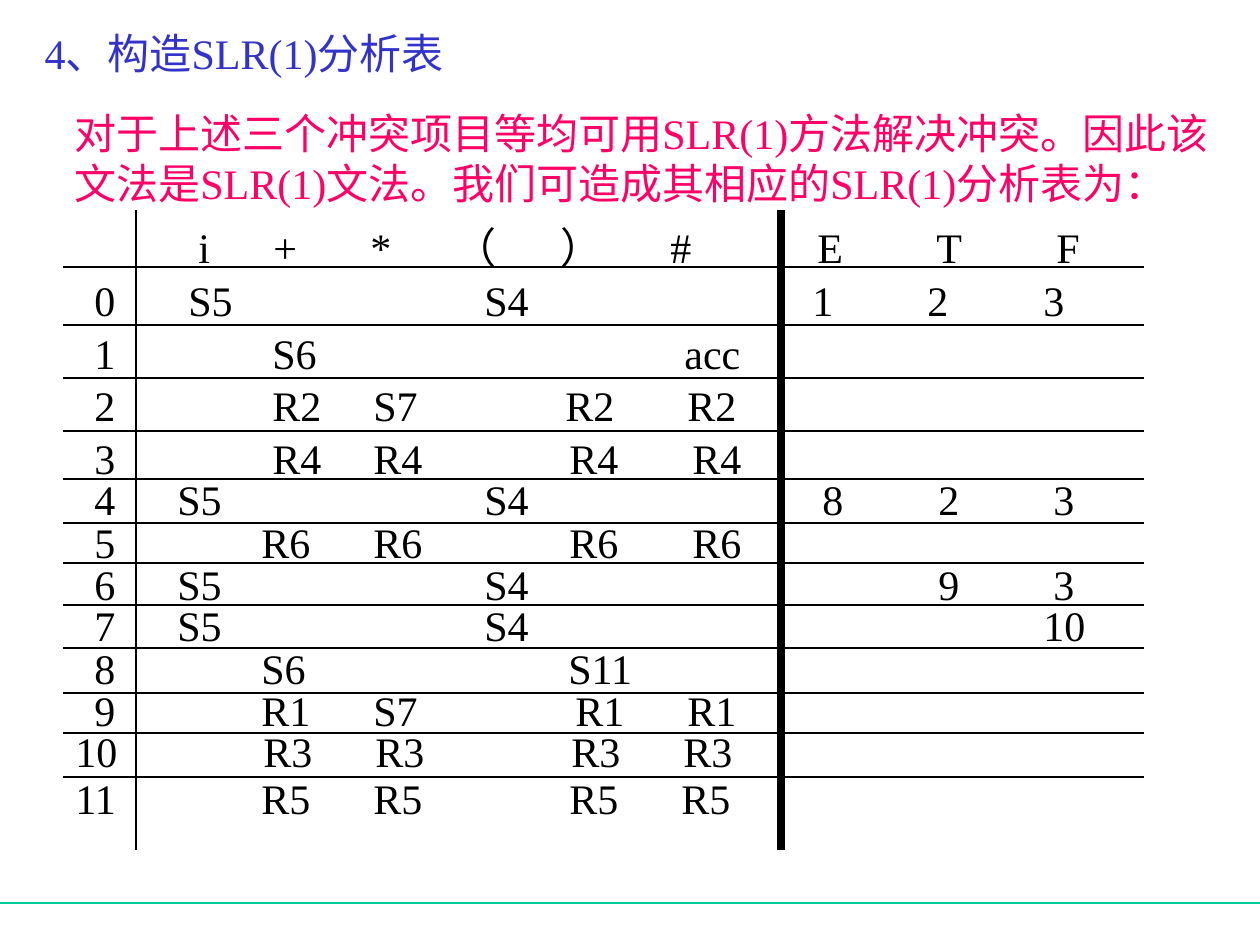
from dataclasses import dataclass

from lxml.etree import SubElement
from pptx import Presentation
from pptx.dml.color import RGBColor
from pptx.enum.shapes import MSO_CONNECTOR
from pptx.enum.text import MSO_ANCHOR, PP_ALIGN
from pptx.oxml.ns import qn
from pptx.util import Pt

PX = 914400 / 126  # EMU in one px
INSET = 13  # default left inset of a text box, in px


@dataclass(frozen=True)
class Theme:
    font: str = "Times New Roman"
    size: int = 24
    heading: str = "3333CC"
    intro: str = "FF0066"
    ink: str = "000000"
    footer: str = "00CC99"
    thin: float = 0.75
    thick: float = 4.25


theme = Theme()


def write(paragraph, text, color, stops=()):
    """Fill a paragraph; stops are tab positions in px from the text edge."""
    if stops:
        tabs = SubElement(paragraph._p.get_or_add_pPr(), qn("a:tabLst"))
        for stop in stops:
            SubElement(tabs, qn("a:tab"), pos=str(round(stop * PX)), algn="l")
    paragraph.alignment = PP_ALIGN.LEFT
    run = paragraph.add_run()
    run.text = text
    for key, value in {"name": theme.font, "size": Pt(theme.size), "bold": False}.items():
        setattr(run.font, key, value)
    run.font.color.rgb = RGBColor.from_string(color)


def rule(x1, y1, x2, y2, color=theme.ink, width=theme.thin):
    ends = [round(v * PX) for v in (x1, y1, x2, y2)]
    line = slide.shapes.add_connector(MSO_CONNECTOR.STRAIGHT, *ends)
    line.line.color.rgb = RGBColor.from_string(color)
    line.line.width = Pt(width)
    SubElement(line._element.spPr, qn("a:effectLst"))


deck = Presentation()
deck.slide_width, deck.slide_height = round(1260 * PX), round(945 * PX)
slide = deck.slides.add_slide(deck.slide_layouts[5])

rule(0, 903, 1260, 903, theme.footer)

heading = slide.shapes.title
for side, px in {"left": 32, "top": 0, "width": 1071, "height": 105}.items():
    setattr(heading, side, round(px * PX))
heading.text_frame.vertical_anchor = MSO_ANCHOR.MIDDLE
write(heading.text_frame.paragraphs[0], "4、构造SLR(1)分析表", theme.heading)

intro = slide.shapes.add_textbox(*[round(v * PX) for v in (62, 101, 1179, 113)]).text_frame
intro.word_wrap = False
write(intro.paragraphs[0], "对于上述三个冲突项目等均可用SLR(1)方法解决冲突。因此该", theme.intro)
write(intro.add_paragraph(), "文法是SLR(1)文法。我们可造成其相应的SLR(1)分析表为：", theme.intro)

# Parsing table: left, top, width, state, {x of entry: entry}
rows = [
    (123, 215, 999, "", {199: "i", 274: "+", 371: "*", 455: "（", 561: "）", 671: "#",
                         818: "E", 937: "T", 1057: "F"}),
    (82, 268, 1000, "0", {189: "S5", 485: "S4", 813: "1", 928: "2", 1044: "3"}),
    (82, 321, 676, "1", {273: "S6", 685: "acc"}),
    (82, 373, 672, "2", {273: "R2", 374: "S7", 566: "R2", 688: "R2"}),
    (82, 426, 677, "3", {273: "R4", 374: "R4", 570: "R4", 693: "R4"}),
    (82, 467, 1011, "4", {178: "S5", 485: "S4", 823: "8", 939: "2", 1054: "3"}),
    (82, 510, 677, "5", {262: "R6", 374: "R6", 570: "R6", 693: "R6"}),
    (82, 552, 1011, "6", {178: "S5", 485: "S4", 939: "9", 1054: "3"}),
    (82, 593, 1021, "7", {178: "S5", 485: "S4", 1044: "10"}),
    (82, 636, 601, "8", {262: "S6", 569: "S11"}),
    (82, 678, 672, "9", {262: "R1", 374: "S7", 576: "R1", 688: "R1"}),
    (63, 719, 746, "10", {264: "R3", 376: "R3", 572: "R3", 684: "R3"}),
    (63, 766, 687, "11", {262: "R5", 374: "R5", 570: "R5", 682: "R5"}),
]
for left, top, width, state, entries in rows:
    box = slide.shapes.add_textbox(*[round(v * PX) for v in (left, top, width, 63)])
    box.text_frame.word_wrap = True
    write(box.text_frame.paragraphs[0], "\t".join([state, *entries.values()]), theme.ink,
          [x - left - INSET for x in entries])

for y in (267, 325, 378, 431, 479, 523, 563, 605, 648, 693, 733, 777):
    rule(63, y, 1144, y)
for x, weight in ((136, theme.thin), (781, theme.thick)):
    rule(x, 210, x, 850, width=weight)

deck.save("out.pptx")
